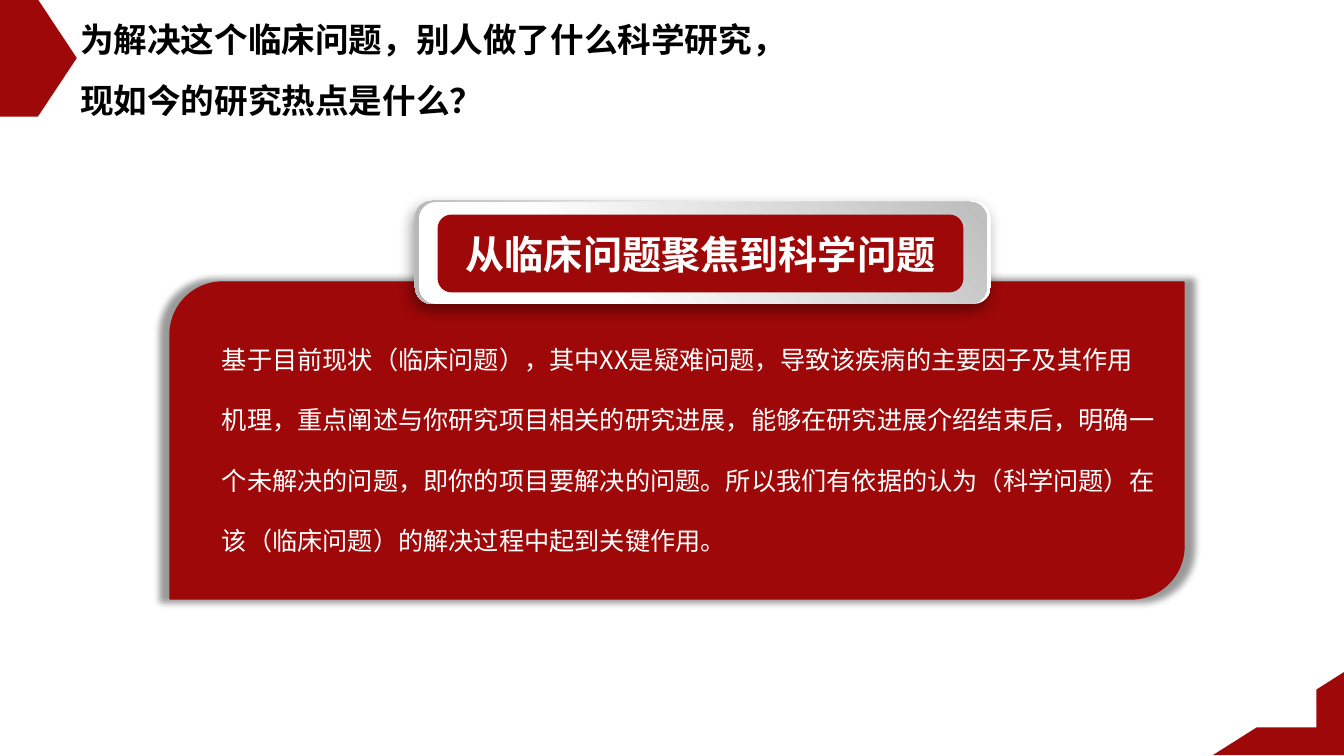
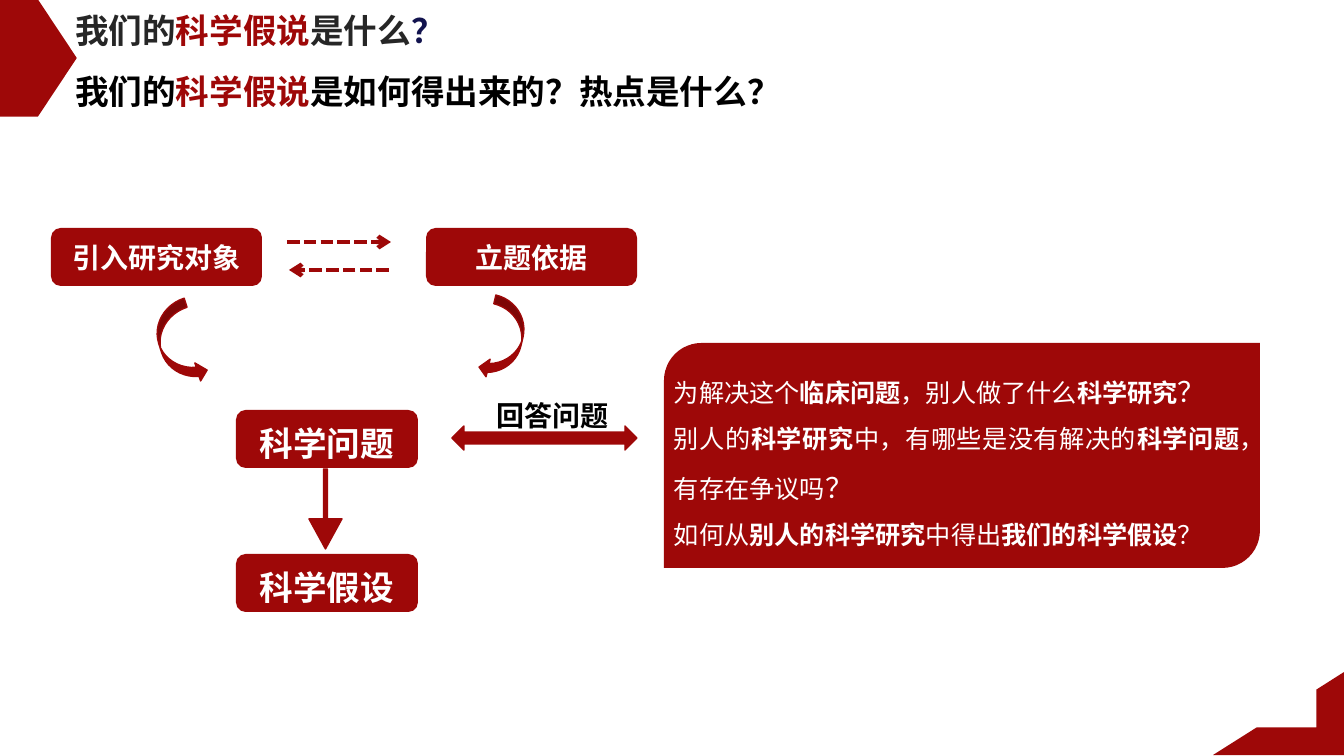
import dataclasses
import typing

import lxml.etree
import pptx
import pptx.dml.color
import pptx.enum.dml
import pptx.enum.shapes
import pptx.enum.text
import pptx.oxml.ns
import pptx.util

SCALE = 914400 / 100.8
RED, WHITE, BLACK = "9E0808", "FFFFFF", "000000"
CHARCOAL, NAVY = "262626", "12134E"
CJK_FONT, LATIN_FONT = "Noto Sans CJK SC", "Arial"
SHAPES = pptx.enum.shapes.MSO_SHAPE
ALIGN = pptx.enum.text.PP_ALIGN
ANCHOR = pptx.enum.text.MSO_ANCHOR


@dataclasses.dataclass
class Span:
    """A piece of text with only what differs from its paragraph."""
    text: str
    color: typing.Optional[str] = None
    bold: typing.Optional[bool] = None
    size: typing.Optional[int] = None
    font: typing.Optional[str] = None


def px(length):
    """Turn px into EMU."""
    return pptx.util.Emu(round(length * SCALE))


def rgb(color):
    """Turn a hex string into a colour."""
    return pptx.dml.color.RGBColor.from_string(color)


def add_xml(parent, tag, **attributes):
    """Append a drawing element to a parent."""
    return lxml.etree.SubElement(parent, pptx.oxml.ns.qn(tag), **attributes)


def style_font(font, size=None, color=None, bold=None, name=None):
    """Set the given font properties."""
    if size:
        font.size = pptx.util.Pt(size)
    if color:
        font.color.rgb = rgb(color)
    if bold is not None:
        font.bold = bold
    if name:
        font.name = name
        add_xml(font._rPr, "a:ea", typeface=CJK_FONT)


def write_text(frame, lines, size, color, bold=False, font=CJK_FONT,
               align=ALIGN.LEFT, spacing=1.0):
    """Fill a frame with one paragraph for each list of spans."""
    for index, spans in enumerate(lines):
        para = frame.add_paragraph() if index else frame.paragraphs[0]
        para.alignment = align
        para.line_spacing = spacing
        style_font(para.font, size, color, bold, font)
        for span in spans:
            run = para.add_run()
            run.text = span.text
            style_font(run.font, span.size, span.color, span.bold, span.font)


def add_text(page, box, lines, **style):
    """Place a wrapping text box."""
    frame = page.shapes.add_textbox(*map(px, box)).text_frame
    frame.word_wrap = True
    write_text(frame, lines, **style)


def add_block(page, kind, box, line=0, rotation=0, adjustments=()):
    """Place a red preset shape."""
    shape = page.shapes.add_shape(kind, *map(px, box))
    shape.shadow.inherit = False
    shape.fill.solid()
    shape.fill.fore_color.rgb = rgb(RED)
    if line:
        shape.line.color.rgb = rgb(RED)
        shape.line.width = pptx.util.Pt(line)
    else:
        shape.line.fill.background()
    shape.rotation = rotation
    for index, value in enumerate(adjustments):
        shape.adjustments[index] = value
    return shape


def add_label_block(page, box, text, size, line=0, drop=0):
    """Place a rounded red block with a bold centred label, lowered by drop."""
    shape = add_block(page, SHAPES.ROUNDED_RECTANGLE, box, line)
    frame = shape.text_frame
    frame.word_wrap = False
    frame.vertical_anchor = ANCHOR.MIDDLE
    frame.margin_left = frame.margin_right = frame.margin_bottom = 0
    frame.margin_top = px(2 * drop)
    write_text(frame, [[Span(text)]], size, WHITE, True, align=ALIGN.CENTER)


def add_shadow(shape, alpha, blur, distance=0, direction=0, grow=100):
    """Give a shape a soft black outer shadow."""
    effects = shape._element.spPr.find(pptx.oxml.ns.qn("a:effectLst"))
    shadow = add_xml(effects, "a:outerShdw",
                     blurRad=str(pptx.util.Pt(blur)), dist=str(pptx.util.Pt(distance)),
                     dir=str(direction * 60000), sx=str(grow * 1000), sy=str(grow * 1000),
                     algn="ctr", rotWithShape="0")
    add_xml(add_xml(shadow, "a:srgbClr", val=BLACK), "a:alpha", val=str(alpha * 1000))


def add_gradient(shape, angle, stops):
    """Fill a shape with a two-stop linear gradient."""
    shape.fill.gradient()
    shape.fill.gradient_angle = angle
    for stop, (position, color) in zip(shape.fill.gradient_stops, stops):
        stop.position = position
        stop.color.rgb = rgb(color)


def add_dashed_arrow(page, start, end):
    """Draw a dashed red arrow."""
    arrow = page.shapes.add_connector(pptx.enum.shapes.MSO_CONNECTOR.STRAIGHT,
                                      *map(px, start + end))
    arrow.line.color.rgb = rgb(RED)
    arrow.line.width = pptx.util.Pt(3)
    arrow.line.dash_style = pptx.enum.dml.MSO_LINE.SQUARE_DOT
    add_xml(arrow.line._get_or_add_ln(), "a:tailEnd", type="arrow")
    add_xml(arrow._element.spPr, "a:effectLst")


def add_page(deck, title_box, title_lines, font):
    """Add a slide with its title and the red corner marks."""
    page = deck.slides.add_slide(deck.slide_layouts[5])
    title = page.shapes.title
    title.left, title.top, title.width, title.height = map(px, title_box)
    frame = title.text_frame
    frame.word_wrap = True
    frame.auto_size = pptx.enum.text.MSO_AUTO_SIZE.NONE
    frame.vertical_anchor = ANCHOR.TOP
    write_text(frame, title_lines, 24, BLACK, True, font, spacing=1.5)
    add_block(page, SHAPES.HALF_FRAME, (1213, 672, 131, 83), rotation=180)
    add_block(page, SHAPES.PENTAGON, (-1, 0, 77, 116), line=1)
    return page


def add_plaque(page, box, text):
    """Place a silver frame around a red heading."""
    left, top, width, height = box
    rim = add_block(page, SHAPES.ROUNDED_RECTANGLE, box)
    add_gradient(rim, 225, [(0.17, WHITE), (0.88, "B8B8B8")])
    add_shadow(rim, 39, 10, 5, 123)
    face = add_block(page, SHAPES.ROUNDED_RECTANGLE,
                     (left + 4, top + 1, width - 8, height - 1))
    add_gradient(face, 45, [(0.29, WHITE), (0.98, "BFBFBF")])
    add_label_block(page, (left + 24, top + 15, 523, 75), text, 28, line=2)


def add_focus_panel(page, box):
    """Place the shadowed panel with its paragraph and plaque."""
    left, top, width, height = box
    panel = add_block(page, SHAPES.ROUND_2_DIAG_RECTANGLE, box, line=1)
    add_shadow(panel, 40, 5, grow=102)
    add_text(page, (left + 42, top + 27, width - 60, height - 63), [[Span(
        "基于目前现状（临床问题），其中XX是疑难问题，导致该疾病的主要因子及其作用机理，"
        "重点阐述与你研究项目相关的研究进展，能够在研究进展介绍结束后，"
        "明确一个未解决的问题，即你的项目要解决的问题。"
        "所以我们有依据的认为（科学问题）在该（临床问题）的解决过程中起到关键作用。")]],
        size=18, color=WHITE, spacing=2.0)
    add_plaque(page, (left + 245, top - 81, 576, 103), "从临床问题聚焦到科学问题")


def add_question_panel(page, box):
    """Place the panel of guiding questions."""
    left, top, width, height = box
    add_block(page, SHAPES.ROUND_2_DIAG_RECTANGLE, box)
    questions = [
        [Span("为解决这个"), Span("临床问题", bold=True), Span("，别人做了什么"),
         Span("科学研究", bold=True), Span("？", size=20)],
        [Span("别人的"), Span("科学研究", bold=True), Span("中，有哪些是没有解决的"),
         Span("科学问题", bold=True), Span("，有存在争议吗"), Span("？", size=20)],
        [Span("如何从"), Span("别人的科学研究", bold=True), Span("中得出"),
         Span("我们的科学假设", bold=True), Span("？")],
    ]
    add_text(page, (left, top + 10, width + 15, height - 21), questions,
             size=18, color=WHITE, align=ALIGN.JUSTIFY, spacing=1.5)


def add_flow(page, left, top):
    """Place the flow from research object and rationale to hypothesis."""
    for offset, text in ((0, "引入研究对象"), (375, "立题依据")):
        add_label_block(page, (left + offset, top, 211, 58), text, 20)
    add_dashed_arrow(page, (left + 236, top + 14), (left + 340, top + 14))
    add_dashed_arrow(page, (left + 338, top + 42), (left + 238, top + 42))
    add_block(page, SHAPES.CURVED_RIGHT_ARROW, (left + 109, top + 74, 38, 85), 1, 342.3)
    add_block(page, SHAPES.CURVED_LEFT_ARROW, (left + 435, top + 70, 36, 83), 1, 13.1)
    for offset, text in ((182, "科学问题"), (326, "科学假设")):
        add_label_block(page, (left + 185, top + offset, 182, 58), text, 24, drop=4)
    add_block(page, SHAPES.DOWN_ARROW, (left + 258, top + 241, 33, 80), 1,
              adjustments=(0.12, 0.91))
    add_block(page, SHAPES.LEFT_RIGHT_ARROW, (left + 401, top + 198, 185, 24), 1)
    add_text(page, (left + 407, top + 149, 190, 55), [[Span("回答问题")]],
             size=20, color=BLACK, bold=True, align=ALIGN.CENTER, spacing=1.5)


def build_focus_page(deck):
    """Build the slide on the focus of existing research."""
    page = add_page(deck, (70, -6, 880, 132), [
        [Span("为解决这个临床问题，别人做了什么科学研究，")],
        [Span("现如今的研究热点是什么？")]], LATIN_FONT)
    add_focus_panel(page, (170, 282, 1014, 317))


def build_hypothesis_page(deck):
    """Build the slide on how the hypothesis is reached."""
    page = add_page(deck, (65, -15, 1118, 132), [
        [Span("我们的", CHARCOAL), Span("科学假说", RED),
         Span("是什么", CHARCOAL), Span("？", NAVY)],
        [Span("我们的"), Span("科学假说", RED), Span("是如何得出来的？"),
         Span("热点是什么？", font=LATIN_FONT)]], CJK_FONT)
    add_question_panel(page, (664, 343, 596, 225))
    add_flow(page, 51, 228)


def main():
    """Build and save the deck."""
    deck = pptx.Presentation()
    deck.slide_width, deck.slide_height = px(1344), px(756)
    build_focus_page(deck)
    build_hypothesis_page(deck)
    deck.save("out.pptx")


if __name__ == "__main__":
    main()
